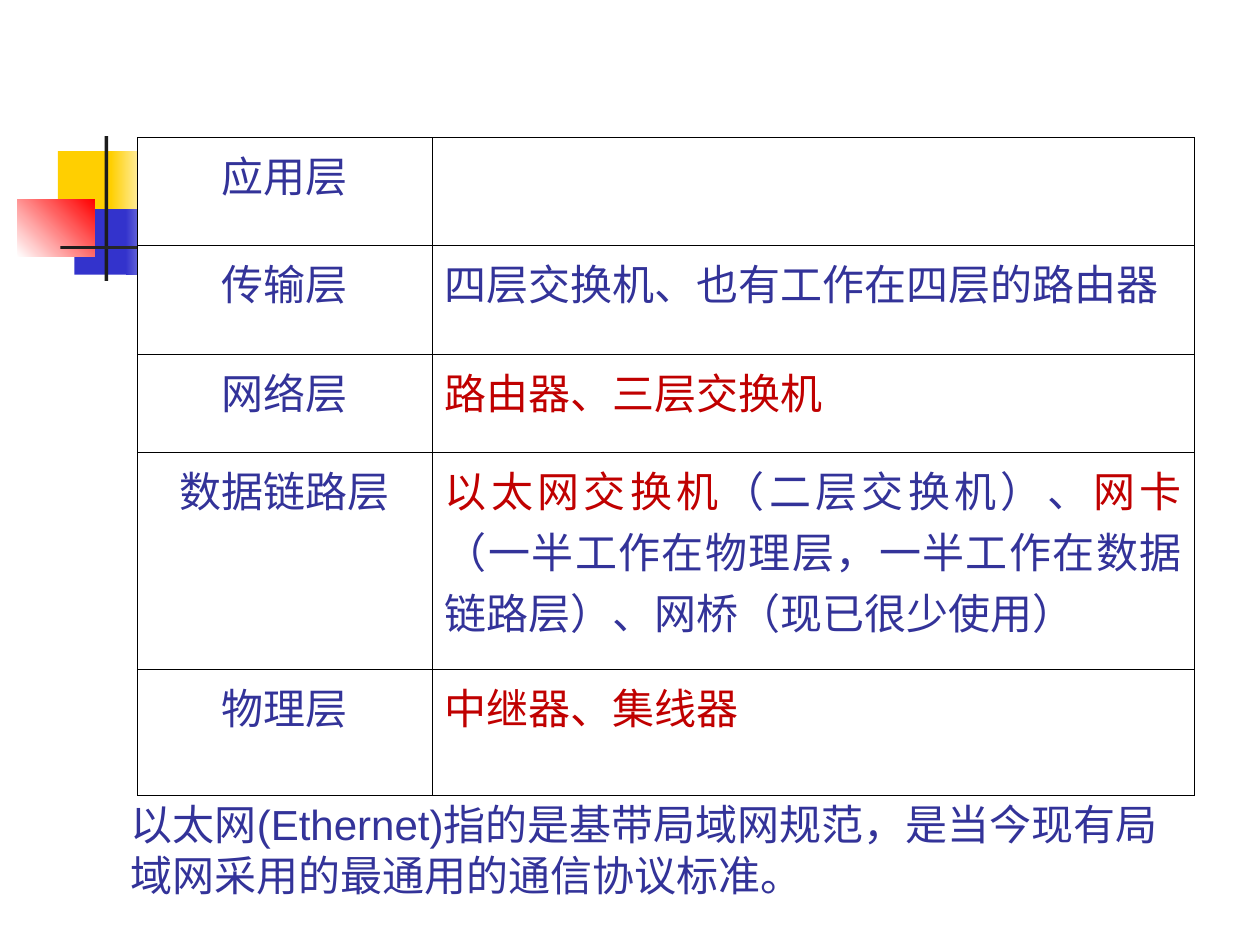
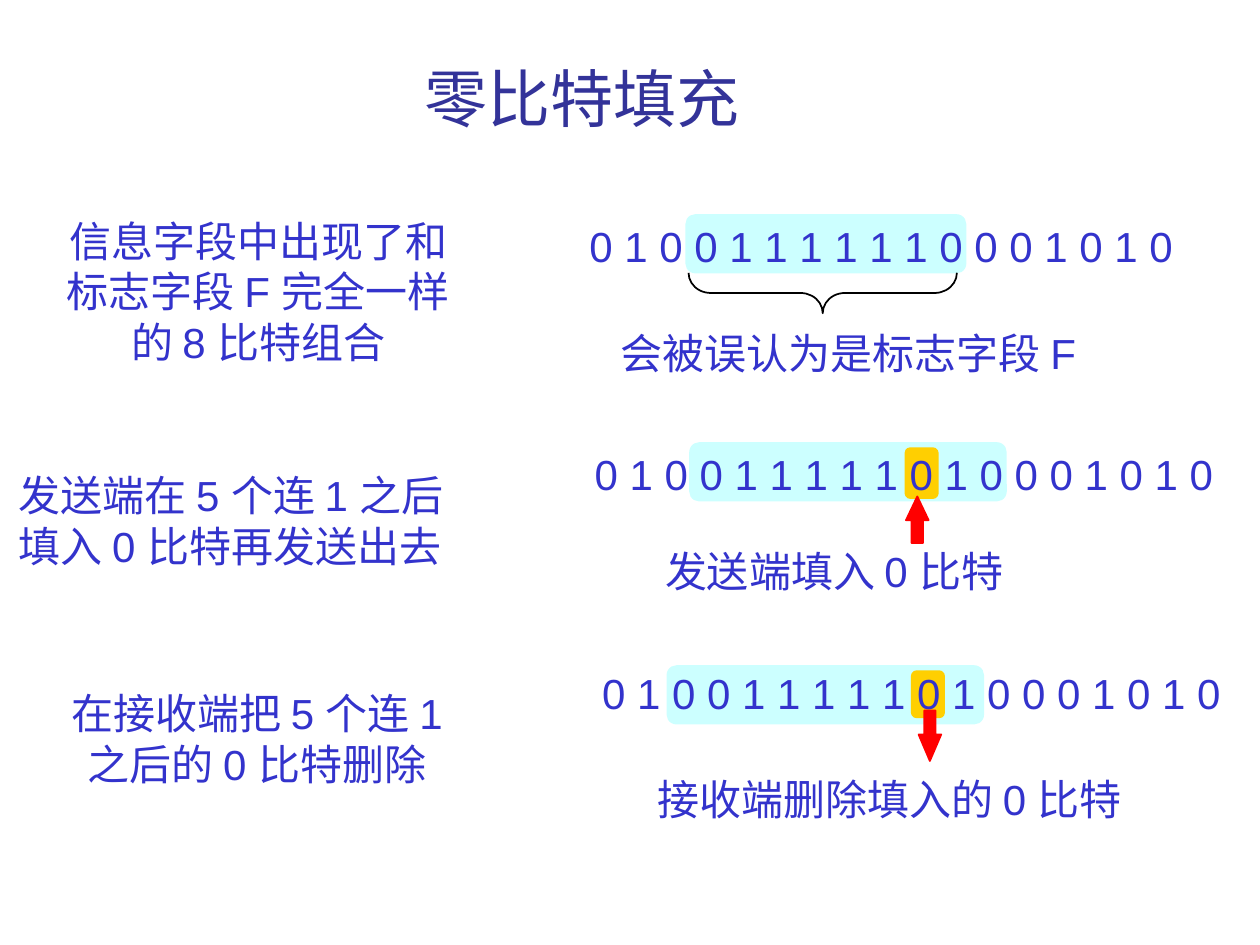
"""Builds two slides on network layers and zero-bit stuffing."""
from lxml import etree
from pptx import Presentation, util as u
from pptx.dml.color import RGBColor
from pptx.enum import shapes, text
from pptx.oxml import ns

COLORS = {
    "navy": "333399", "blue": "3333CC", "dark_red": "C00000", "red": "FF0000",
    "yellow": "FFCF01", "cyan": "CCFFFF", "ink": "1C1C1C", "black": "000000", "white": "FFFFFF",
}
LEFT, CENTER, JUSTIFY = text.PP_ALIGN.LEFT, text.PP_ALIGN.CENTER, text.PP_ALIGN.JUSTIFY
PRESET = shapes.MSO_SHAPE


def add_preset(slide, preset, box, fill=None, line=None, adjustments=(), fade=None, angle=0):
    shape = slide.shapes.add_shape(preset, *map(u.Inches, box))
    shape.shadow.inherit = False
    for index, value in enumerate(adjustments):
        shape.adjustments[index] = value
    if fade:
        shape.fill.gradient()
        shape.fill.gradient_angle = angle
        for stop, name in zip(shape.fill.gradient_stops, (fill, fade)):
            stop.color.rgb = RGBColor.from_string(COLORS[name])
    elif fill:
        shape.fill.solid()
        shape.fill.fore_color.rgb = RGBColor.from_string(COLORS[fill])
    else:
        shape.fill.background()
    if line:
        shape.line.color.rgb = RGBColor.from_string(COLORS[line])
        shape.line.width = u.Pt(1)
    else:
        shape.line.fill.background()
    return shape


def write_lines(frame, lines, alignment=LEFT, size=24, font="Arial"):
    for index, line in enumerate(lines):
        paragraph = frame.add_paragraph() if index else frame.paragraphs[0]
        paragraph.alignment = alignment
        for words, color in line:
            run = paragraph.add_run()
            run.text = words
            run.font.size = u.Pt(size)
            run.font.name = font
            run.font.color.rgb = RGBColor.from_string(COLORS[color])


presentation = Presentation()
presentation.slide_width, presentation.slide_height = u.Inches(10), u.Inches(7.5)
blank = presentation.slide_layouts[6]

slide = presentation.slides.add_slide(blank)
ornaments = [
    ((0.46, 1.2, 0.48, 0.52), "yellow", None, 0),
    ((0.88, 1.2, 0.36, 0.52), "yellow", "white", 0),
    ((0.59, 1.66, 0.46, 0.52), "blue", None, 0),
    ((1, 1.66, 0.4, 0.52), "blue", "white", 0),
    ((0.14, 1.58, 0.61, 0.46), "white", "red", 45),
    ((0.83, 1.08, 0.03, 1.15), "ink", None, 0),
    ((0.48, 1.95, 9, 0.03), "ink", "white", 0),
]
for box, fill, fade, angle in ornaments:
    add_preset(slide, PRESET.RECTANGLE, box, fill, fade=fade, angle=angle)

definition = slide.shapes.add_textbox(*map(u.Inches, (0.94, 6.41, 8.52, 0.78))).text_frame
definition.word_wrap = True
definition.vertical_anchor = text.MSO_ANCHOR.BOTTOM
write_lines(definition, [[("以太网(Ethernet)指的是基带局域网规范，是当今现有局域网采用的最通用的通信协议标准。", "navy")]])

layers = [
    ("应用层", 0.86, []),
    ("传输层", 0.86, [("四层交换机、也有工作在四层的路由器", "navy")]),
    ("网络层", 0.78, [("路由器、三层交换机", "dark_red")]),
    ("数据链路层", 1.72, [
        ("以太网交换机", "dark_red"), ("（二层交换机）、", "navy"), ("网卡", "dark_red"),
        ("（一半工作在物理层，一半工作在数据链路层）、网桥（现已很少使用）", "navy")]),
    ("物理层", 1, [("中继器、集线器", "dark_red")]),
]
table = slide.shapes.add_table(len(layers), 2, *map(u.Inches, (1.09, 1.09, 8.39, 5.22))).table
table.first_row = table.horz_banding = False
table.columns[0].width, table.columns[1].width = u.Inches(2.34), u.Inches(6.05)
for row, (layer, height, devices) in enumerate(layers):
    table.rows[row].height = u.Inches(height)
    for column, (runs, alignment) in enumerate([([(layer, "navy")], CENTER), (devices, JUSTIFY)]):
        cell = table.cell(row, column)
        write_lines(cell.text_frame, [runs], alignment)
        properties = cell._tc.get_or_add_tcPr()
        for side in ("lnL", "lnR", "lnT", "lnB"):
            border = etree.SubElement(properties, ns.qn("a:" + side), w=str(u.Pt(0.45)))
            solid = etree.SubElement(border, ns.qn("a:solidFill"))
            etree.SubElement(solid, ns.qn("a:srgbClr"), val=COLORS["black"])
        cell.fill.solid()
        cell.fill.fore_color.rgb = RGBColor.from_string(COLORS["white"])

slide = presentation.slides.add_slide(blank)
highlights = [
    ((5.44, 1.7, 2.23, 0.47), "cyan"),
    ((5.47, 3.51, 2.52, 0.47), "cyan"),
    ((5.29, 5.28, 2.52, 0.47), "cyan"),
    ((7.18, 3.55, 0.27, 0.41), "yellow"),
    ((7.23, 5.32, 0.27, 0.38), "yellow"),
]
for box, fill in highlights:
    add_preset(slide, PRESET.ROUNDED_RECTANGLE, box, fill, adjustments=[0.167])

stuffed_bits = "0 1 0 0 1 1 1 1 1 0 1 0 0 0 1 0 1 0"
labels = [
    ((3.27, 0.42, 2.7, 0.7), LEFT, ["零比特填充"]),
    ((4.58, 1.7, 4.83, 0.5), LEFT, ["0 1 0 0 1 1 1 1 1 1 0 0 0 1 0 1 0"]),
    ((4.62, 3.51, 5.11, 0.5), LEFT, [stuffed_bits]),
    ((4.68, 5.25, 5.11, 0.5), LEFT, [stuffed_bits]),
    ((0.3, 1.66, 3.5, 1.3), CENTER, ["信息字段中出现了和", "标志字段 F 完全一样", "的 8 比特组合"]),
    ((0.05, 3.68, 3.95, 0.9), LEFT, ["发送端在 5 个连 1 之后", "填入 0 比特再发送出去"]),
    ((0.29, 5.41, 3.5, 0.9), CENTER, ["在接收端把 5 个连 1", "之后的 0 比特删除"]),
    ((4.83, 2.55, 4.1, 0.5), LEFT, ["会被误认为是标志字段 F"]),
    ((5.18, 4.28, 3.2, 0.5), LEFT, ["发送端填入 0 比特"]),
    ((5.12, 6.09, 4.2, 0.5), LEFT, ["接收端删除填入的 0 比特"]),
]
for index, (box, alignment, lines) in enumerate(labels):
    frame = slide.shapes.add_textbox(*map(u.Inches, box)).text_frame
    frame.word_wrap = True
    frame.auto_size = text.MSO_AUTO_SIZE.SHAPE_TO_FIT_TEXT
    color, size, font = ("blue", 24, "Arial") if index else ("navy", 36, "Lato")
    write_lines(frame, [[(line, color)] for line in lines], alignment, size, font)

add_preset(slide, PRESET.UP_ARROW, (7.19, 3.94, 0.18, 0.37), "red", "red", [0.5, 1.05])
add_preset(slide, PRESET.DOWN_ARROW, (7.29, 5.64, 0.18, 0.4), "red", "red", [0.5, 1.17])
brace = add_preset(slide, PRESET.LEFT_BRACE, (6.37, 1.26, 0.32, 2.13), None, "black", [0.55, 0.5])
brace.rotation = 270

presentation.save("out.pptx")
